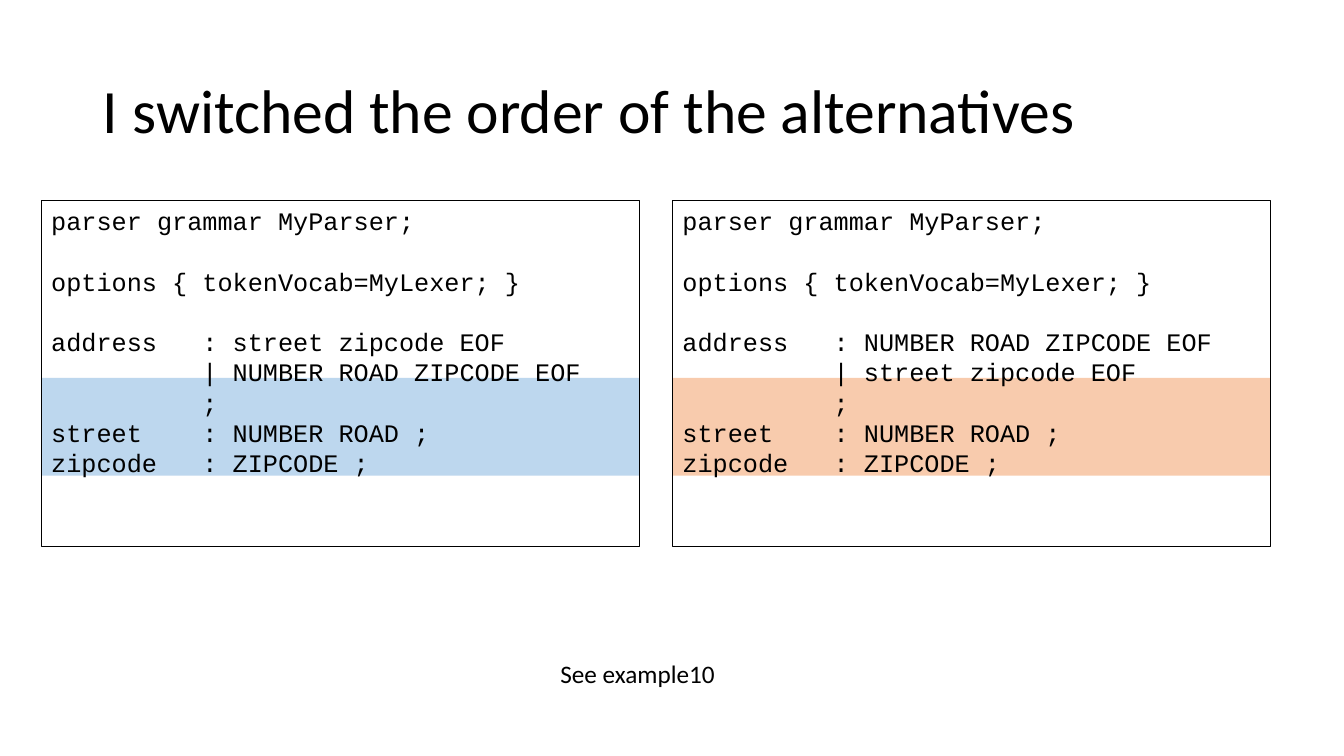
from pptx import Presentation
from pptx.dml.color import RGBColor
from pptx.enum.shapes import MSO_SHAPE as SHAPE
from pptx.enum.text import MSO_ANCHOR as ANCHOR, MSO_AUTO_SIZE as FIT, PP_ALIGN as ALIGN
from pptx.util import Inches, Pt

COLORS = {"text": "000000", "blue": "BDD7EE", "orange": "F8CBAD"}
PANEL_TOP, PANEL_W, PANEL_H = 1.99, 5.93, 3.43
BAND_OFFSET, BAND_H = 1.76, 0.97
CODE_LINE = 21.6
STREET_FIRST = ("street zipcode EOF", "NUMBER ROAD ZIPCODE EOF")


def rgb(name):
    return RGBColor.from_string(COLORS[name])


def add_run(p, text, size, font="Calibri"):
    r = p.add_run()
    r.text = text
    r.font.size = Pt(size)
    r.font.name = font
    r.font.color.rgb = rgb("text")


def add_rect(s, x, y, w, h):
    sp = s.shapes.add_shape(SHAPE.RECTANGLE, Inches(x), Inches(y), Inches(w), Inches(h))
    sp.shadow.inherit = False
    return sp


def add_title(s, x, y, w, h):
    sp = s.shapes.title
    sp.left, sp.top, sp.width, sp.height = Inches(x), Inches(y), Inches(w), Inches(h)
    tf = sp.text_frame
    tf.vertical_anchor = ANCHOR.MIDDLE
    p = tf.paragraphs[0]
    p.alignment = ALIGN.LEFT
    p.line_spacing = 0.9
    add_run(p, "I switched the order of the alternatives", 44)


def add_grammar(s, x, y, w, h, alternatives, color):
    band = add_rect(s, x, y + BAND_OFFSET, w, BAND_H)
    band.fill.solid()
    band.fill.fore_color.rgb = rgb(color)
    band.line.fill.background()

    panel = add_rect(s, x, y, w, h)
    panel.fill.background()
    panel.line.color.rgb = rgb("text")
    panel.line.width = Pt(0.75)
    tf = panel.text_frame
    tf.word_wrap = True
    tf.vertical_anchor = ANCHOR.TOP
    first, second = alternatives
    blocks = [
        ["parser grammar MyParser;"],
        ["options { tokenVocab=MyLexer; }"],
        [
            f"address   : {first}",
            f"          | {second}",
            "          ;",
            "street    : NUMBER ROAD ;",
            "zipcode   : ZIPCODE ;",
        ],
    ]
    p = None
    for block in blocks:
        for i, line in enumerate(block):
            gap = CODE_LINE if p is not None and i == 0 else 0
            p = tf.paragraphs[0] if p is None else tf.add_paragraph()
            p.alignment = ALIGN.LEFT
            p.line_spacing = Pt(CODE_LINE)
            p.space_before = Pt(gap)
            add_run(p, line, 18, "Courier New")


def add_reference(s, x, y, w, h):
    tf = s.shapes.add_textbox(Inches(x), Inches(y), Inches(w), Inches(h)).text_frame
    tf.word_wrap = False
    tf.auto_size = FIT.SHAPE_TO_FIT_TEXT
    add_run(tf.paragraphs[0], "See example10", 18)


def main():
    prs = Presentation()
    prs.slide_width, prs.slide_height = Inches(13.33), Inches(7.5)
    s = prs.slides.add_slide(prs.slide_layouts[5])
    add_title(s, 0.92, 0.4, 11.5, 1.45)
    add_grammar(s, 0.41, PANEL_TOP, PANEL_W, PANEL_H, STREET_FIRST, "blue")
    add_grammar(s, 6.67, PANEL_TOP, PANEL_W, PANEL_H, STREET_FIRST[::-1], "orange")
    add_reference(s, 5.46, 6.48, 1.75, 0.4)
    prs.save("out.pptx")


if __name__ == "__main__":
    main()
